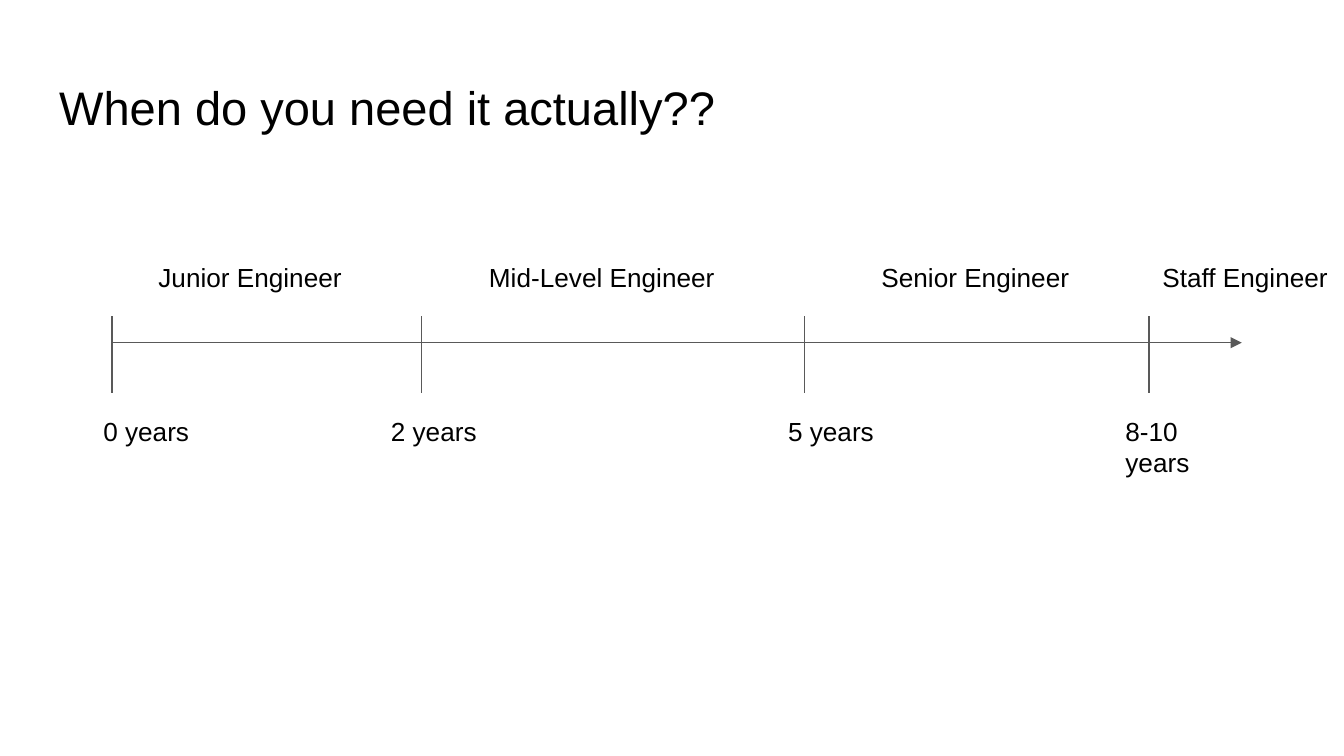
"""Build a slide with a career timeline from junior to staff engineer."""
from lxml import etree
from pptx import Presentation
from pptx.dml.color import RGBColor
from pptx.enum.shapes import MSO_CONNECTOR
from pptx.enum.text import MSO_ANCHOR, MSO_AUTO_SIZE, PP_ALIGN
from pptx.oxml.ns import qn
from pptx.util import Emu, Pt

STRAIGHT = MSO_CONNECTOR.STRAIGHT
TOP = MSO_ANCHOR.TOP
LEFT = PP_ALIGN.LEFT
GROW = MSO_AUTO_SIZE.SHAPE_TO_FIT_TEXT
FIXED = MSO_AUTO_SIZE.NONE

BLACK = RGBColor(0x00, 0x00, 0x00)
GRAY = RGBColor(0x59, 0x59, 0x59)
FONT = "Arial"

TITLE = "When do you need it actually??"
MILESTONES = [
    {"x": 167, "years": "0 years", "years_at": (134, 88), "role": "Junior Engineer", "role_at": (216, 362)},
    {"x": 627, "years": "2 years", "years_at": (562, 88), "role": "Mid-Level Engineer", "role_at": (708, 408)},
    {"x": 1197, "years": "5 years", "years_at": (1153, 88), "role": "Senior Engineer", "role_at": (1292, 330)},
    {"x": 1710, "years": "8-10 years", "years_at": (1655, 134), "role": "Staff Engineer", "role_at": (1710, 330)},
]

PX = 4572
PAGE_WIDTH, PAGE_HEIGHT = 2000, 1125
AXIS_Y, AXIS_END = 510, 1848
TICK_TOP, TICK_BOTTOM = 471, 585
ROLE_TOP, ROLE_HEIGHT = 369, 114
YEARS_TOP, YEARS_WIDTH = 598, 170
INSET = 20


def px(length):
    return Emu(length * PX)


def write(box, text, place, size=14, auto_size=FIXED):
    box.left, box.top, box.width, box.height = map(px, place)
    frame = box.text_frame
    frame.word_wrap = True
    frame.auto_size = auto_size
    frame.vertical_anchor = TOP
    frame.margin_left = frame.margin_right = px(INSET)
    frame.margin_top = frame.margin_bottom = px(INSET)
    para = frame.paragraphs[0]
    para.alignment = LEFT
    span = para.add_run()
    span.text = text
    span.font.name = FONT
    span.font.size = Pt(size)
    span.font.color.rgb = BLACK


def add_label(page, text, place, **formatting):
    write(page.shapes.add_textbox(0, 0, 0, 0), text, place, **formatting)


def add_line(page, start, end, arrow=False):
    connector = page.shapes.add_connector(STRAIGHT, *map(px, start + end))
    connector.line.color.rgb = GRAY
    connector.line.width = Pt(0.75)
    properties = connector._element.spPr
    if arrow:
        etree.SubElement(properties.find(qn("a:ln")), qn("a:tailEnd"), type="triangle")
    etree.SubElement(properties, qn("a:effectLst"))


def main():
    deck = Presentation()
    deck.slide_width, deck.slide_height = px(PAGE_WIDTH), px(PAGE_HEIGHT)
    page = deck.slides.add_slide(deck.slide_layouts[5])
    write(page.shapes.title, TITLE, (68, 97, 1864, 126), size=25.2)

    add_line(page, (MILESTONES[0]["x"], AXIS_Y), (AXIS_END, AXIS_Y), arrow=True)
    for milestone in MILESTONES:
        add_line(page, (milestone["x"], TICK_TOP), (milestone["x"], TICK_BOTTOM))
    for milestone in MILESTONES:
        left, height = milestone["years_at"]
        add_label(page, milestone["years"], (left, YEARS_TOP, YEARS_WIDTH, height), auto_size=GROW)
    for milestone in MILESTONES:
        left, width = milestone["role_at"]
        add_label(page, milestone["role"], (left, ROLE_TOP, width, ROLE_HEIGHT))

    deck.save("out.pptx")


if __name__ == "__main__":
    main()
